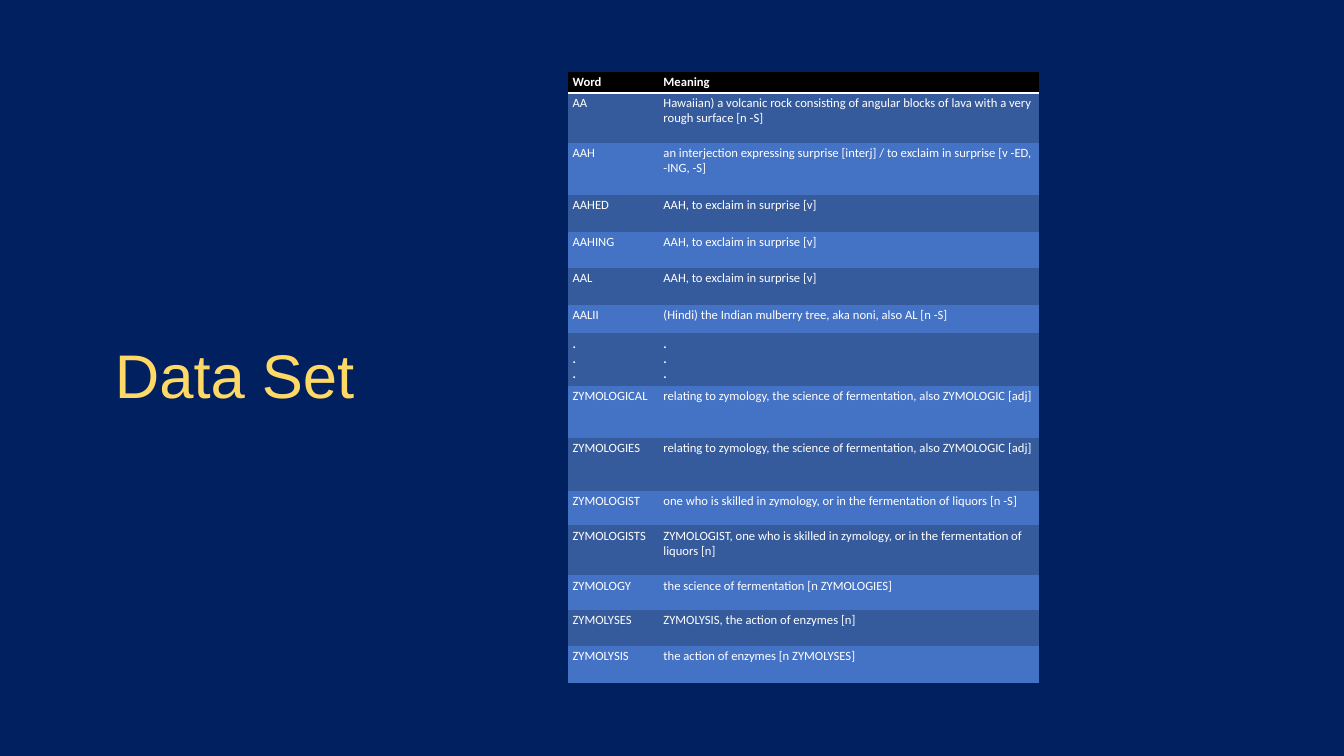
from lxml.etree import SubElement
from pptx import Presentation
from pptx.dml.color import RGBColor
from pptx.enum.text import MSO_ANCHOR as Anchor, MSO_AUTO_SIZE as AutoSize, PP_ALIGN as Align
from pptx.oxml.ns import qn
from pptx.util import Cm, Pt

NO_GRID_STYLE = "{2D5ABB26-0587-4C30-8999-92F81FD0307C}"
NAVY, GOLD, WHITE, BLACK = "002060", "FFD966", "FFFFFF", "000000"
BANDS = ("365B9D", "4472C4")
COLUMN_WIDTHS = (2.29, 9.58)
DOTS = ".\n.\n."
ROWS = [
    (0.53, "Word", "Meaning"),
    (1.26, "AA", "Hawaiian) a volcanic rock consisting of angular blocks of lava with a very rough surface [n -S]"),
    (1.32, "AAH", "an interjection expressing surprise [interj] / to exclaim in surprise [v -ED, -ING, -S]"),
    (0.92, "AAHED", "AAH, to exclaim in surprise [v]"),
    (0.92, "AAHING", "AAH, to exclaim in surprise [v]"),
    (0.92, "AAL", "AAH, to exclaim in surprise [v]"),
    (0.72, "AALII", "(Hindi) the Indian mulberry tree, aka noni, also AL [n -S]"),
    (1.32, DOTS, DOTS),
    (1.32, "ZYMOLOGICAL", "relating to zymology, the science of fermentation, also ZYMOLOGIC [adj]"),
    (1.32, "ZYMOLOGIES", "relating to zymology, the science of fermentation, also ZYMOLOGIC [adj]"),
    (0.88, "ZYMOLOGIST", "one who is skilled in zymology, or in the fermentation of liquors [n -S]"),
    (1.26, "ZYMOLOGISTS", "ZYMOLOGIST, one who is skilled in zymology, or in the fermentation of liquors [n]"),
    (0.86, "ZYMOLOGY", "the science of fermentation [n ZYMOLOGIES]"),
    (0.92, "ZYMOLYSES", "ZYMOLYSIS, the action of enzymes [n]"),
    (0.92, "ZYMOLYSIS", "the action of enzymes [n ZYMOLYSES]"),
]


def paint(color_format, color):
    color_format.rgb = RGBColor.from_string(color)


def fill_with(fill, color):
    fill.solid()
    paint(fill.fore_color, color)


def set_font(font, name, size, color, bold=False):
    font.name, font.size, font.bold = name, Pt(size), bold
    paint(font.color, color)


def add_title(page, text):
    title = page.shapes.title
    title.left, title.top, title.width, title.height = Cm(2.64), Cm(4.5), Cm(8.28), Cm(10.06)
    frame = title.text_frame
    frame.text = text
    frame.word_wrap, frame.auto_size = True, AutoSize.NONE
    frame.vertical_anchor = Anchor.MIDDLE
    para = frame.paragraphs[0]
    para.alignment, para.line_spacing = Align.LEFT, 0.9
    set_font(para.font, "Arial", 44, GOLD)


def add_bottom_border(cell, color, points):
    """Draw a line under a cell, placed before its fill as the schema requires."""
    properties = cell._tc.get_or_add_tcPr()
    line = SubElement(properties, qn("a:lnB"), w=str(Pt(points)))
    solid = SubElement(line, qn("a:solidFill"))
    SubElement(solid, qn("a:srgbClr"), val=color)
    properties.insert(0, line)


def write_cell(cell, text, fill, bold):
    cell.text = text
    cell.margin_left = cell.margin_right = Cm(0.12)
    cell.margin_top = cell.margin_bottom = Cm(0.07)
    fill_with(cell.fill, fill)
    for para in cell.text_frame.paragraphs:
        set_font(para.font, "Calibri", 9, WHITE, bold)


def add_word_table(page):
    height = sum(row[0] for row in ROWS)
    frame = page.shapes.add_table(len(ROWS), len(COLUMN_WIDTHS), Cm(14.31), Cm(1.81),
                                  Cm(sum(COLUMN_WIDTHS)), Cm(height))
    table = frame.table
    table.horz_banding = False
    table._tbl.tblPr.find(qn("a:tableStyleId")).text = NO_GRID_STYLE
    for column, width in zip(table.columns, COLUMN_WIDTHS):
        column.width = Cm(width)
    for index, (row, (row_height, *texts)) in enumerate(zip(table.rows, ROWS)):
        row.height = Cm(row_height)
        header = index == 0
        fill = BLACK if header else BANDS[(index - 1) % 2]
        for cell, text in zip(row.cells, texts):
            write_cell(cell, text, fill, header or text == DOTS)
            if header:
                add_bottom_border(cell, WHITE, 2)


def main():
    deck = Presentation()
    deck.slide_width, deck.slide_height = Cm(33.87), Cm(19.05)
    page = deck.slides.add_slide(deck.slide_layouts[5])
    fill_with(page.background.fill, NAVY)
    add_title(page, "Data Set")
    add_word_table(page)
    deck.save("out.pptx")


if __name__ == "__main__":
    main()
